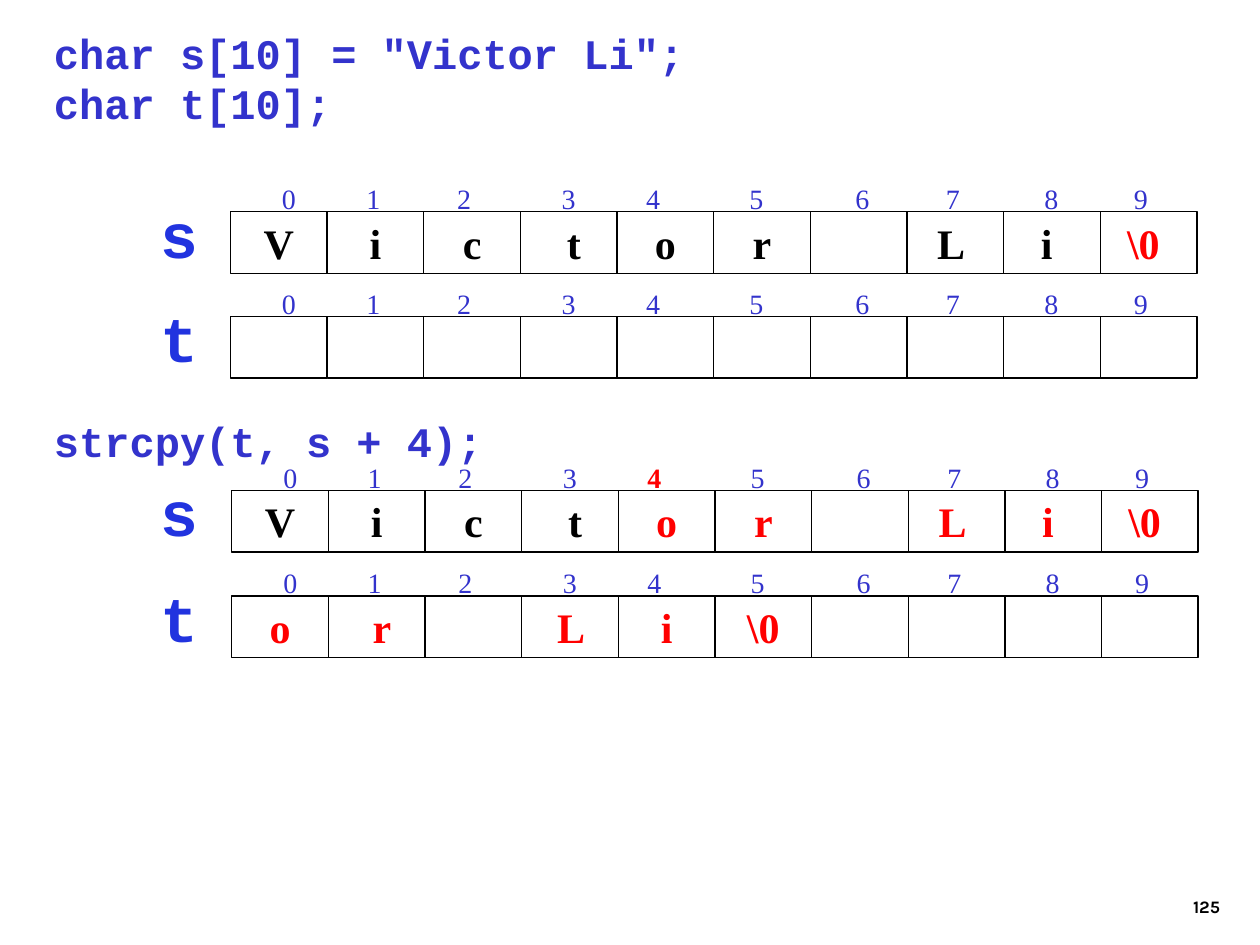
from pptx import Presentation
from pptx.dml.color import RGBColor
from pptx.enum.shapes import MSO_SHAPE
from pptx.enum.text import MSO_ANCHOR, PP_ALIGN
from pptx.oxml import parse_xml
from pptx.oxml.ns import nsdecls
from pptx.util import Inches, Pt

BLUE = RGBColor(0x33, 0x33, 0xCC)
NAME = RGBColor(0x21, 0x33, 0xDF)
BLACK = RGBColor(0, 0, 0)
RED = RGBColor(0xFF, 0, 0)

CODE, SERIF = "Courier New", "Times New Roman"
COUNT = 10
WIDE, HIGH = 7.67, 0.49
# Left edge of each index digit, from the text edge of the row
STOPS = [0.31, 0.98, 1.7, 2.53, 3.2, 4.02, 4.86, 5.58, 6.36, 7.07]


def style(run, font, size, color, bold=True):
    run.font.name = font
    run.font.size = Pt(size)
    run.font.color.rgb = color
    run.font.bold = bold


def add_text(shapes, box, text, font, size, color, align=PP_ALIGN.LEFT,
             anchor=MSO_ANCHOR.TOP, wrap=True):
    frame = shapes.add_textbox(*map(Inches, box)).text_frame
    frame.word_wrap = wrap
    frame.vertical_anchor = anchor
    frame.text = text
    for para in frame.paragraphs:
        para.alignment = align
        for run in para.runs:
            style(run, font, size, color)


def add_index(shapes, left, top, mark):
    """Index digits above a row, set on tab stops; mark is the red one."""
    box = shapes.add_textbox(*map(Inches, (left, top, WIDE, HIGH)))
    frame = box.text_frame
    frame.word_wrap = True
    frame.vertical_anchor = MSO_ANCHOR.MIDDLE
    para = frame.paragraphs[0]
    tabs = "".join(f'<a:tab pos="{Inches(stop)}" algn="l"/>' for stop in STOPS)
    para.alignment = PP_ALIGN.LEFT
    para._p.get_or_add_pPr().append(
        parse_xml(f'<a:tabLst {nsdecls("a")}>{tabs}</a:tabLst>'))
    for num in range(COUNT):
        run = para.add_run()
        run.text = f"\t{num}"
        hit = num == mark
        style(run, SERIF, 16, RED if hit else BLUE, hit)


def add_cell(shapes, left, top, text, color):
    cell = shapes.add_shape(MSO_SHAPE.RECTANGLE, Inches(left), Inches(top),
                            Inches(WIDE / COUNT), Inches(HIGH))
    cell.shadow.inherit = False
    cell.fill.background()
    cell.line.color.rgb = BLACK
    cell.line.width = Pt(0.75)
    if text:
        frame = cell.text_frame
        frame.word_wrap = False
        frame.vertical_anchor = MSO_ANCHOR.MIDDLE
        frame.text = text
        para = frame.paragraphs[0]
        para.alignment = PP_ALIGN.CENTER
        style(para.runs[0], SERIF, 24, color)


def add_array(slide, left, top, name, chars, red=COUNT, mark=None):
    """One named array; the characters from index red on are red."""
    shapes = slide.shapes.add_group_shape().shapes
    add_index(shapes, left, top - 0.35, mark)
    for num in range(COUNT):
        text = chars[num] if num < len(chars) else ""
        add_cell(shapes, left + num * WIDE / COUNT, top, text,
                 RED if num >= red else BLACK)
    add_text(slide.shapes, (1.17, top - 0.18, 0.5, 0.7), name, CODE, 36, NAME,
             PP_ALIGN.RIGHT, wrap=False)


def add_code(slide, top, height, text):
    add_text(slide.shapes, (0.33, top, 7.42, height), text, CODE, 24, BLUE)


def main():
    deck = Presentation()
    deck.slide_width, deck.slide_height = Inches(10), Inches(7.5)
    slide = deck.slides.add_slide(deck.slide_layouts[6])
    source = ["V", "i", "c", " t", "o", "r", "", "L ", "i ", "\\0 "]
    target = [" o ", " r", "", " L ", " i ", " \\0 "]

    # Before the copy
    add_code(slide, 0.17, 1.7, 'char s[10] = "Victor Li";\nchar t[10];')
    add_array(slide, 1.83, 1.68, "s", source, red=9)
    add_array(slide, 1.83, 2.51, "t", [])

    # After the copy
    add_code(slide, 3.25, 0.5, "strcpy(t, s + 4);")
    add_array(slide, 1.84, 3.89, "s", source, red=4, mark=4)
    add_array(slide, 1.84, 4.73, "t", target, red=0)

    # Page number
    add_text(slide.shapes, (7.7, 6.83, 2.08, 0.5), "125", "Karla", 10, BLACK,
             PP_ALIGN.RIGHT, MSO_ANCHOR.BOTTOM)
    deck.save("out.pptx")


if __name__ == "__main__":
    main()
